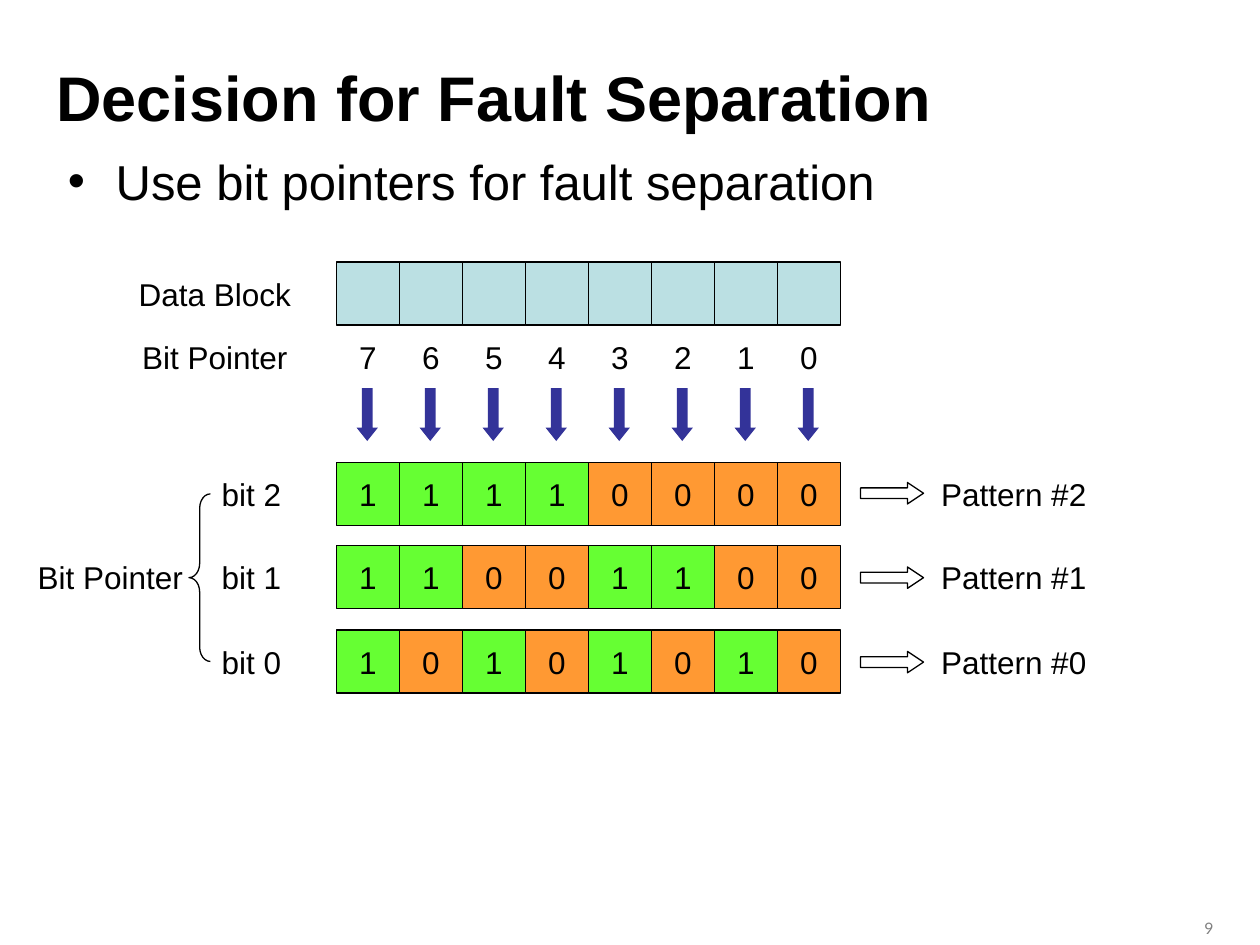
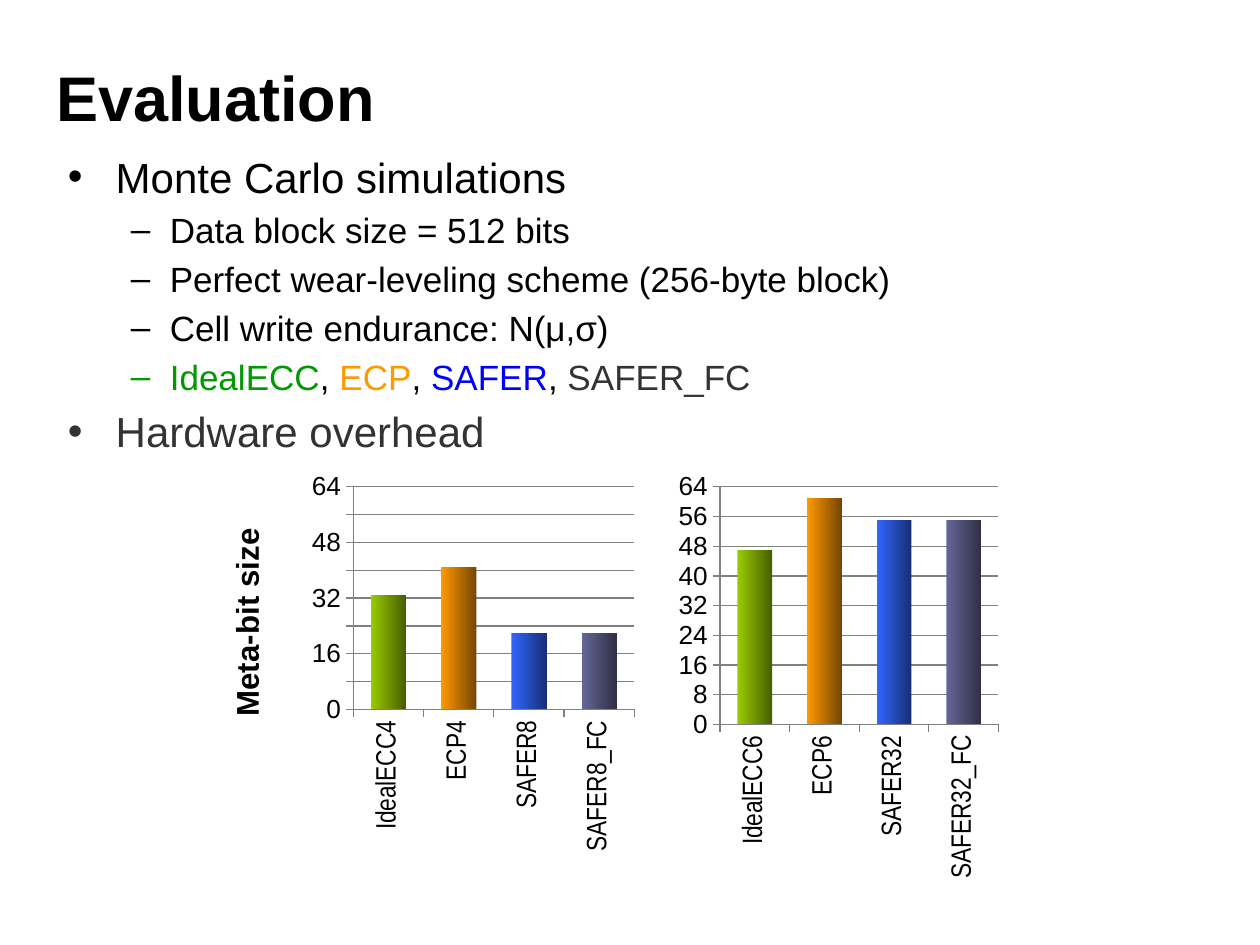
"""Builds two slides: bit-pointer fault separation and its evaluation."""
import pptx
import pptx.chart.data
import pptx.dml.color
import pptx.enum.chart
import pptx.enum.shapes
import pptx.enum.text
import pptx.oxml
import pptx.oxml.ns
import pptx.util
from lxml import etree

RGB = pptx.dml.color.RGBColor
BLACK, GRAY, DARK = RGB(0, 0, 0), RGB(0x80, 0x80, 0x80), RGB(0x33, 0x33, 0x33)
PALE, INDIGO = RGB(0xBB, 0xE0, 0xE3), RGB(0x33, 0x33, 0x99)
BIT_FILL = {"1": RGB(0x66, 0xFF, 0x33), "0": RGB(0xFF, 0x99, 0x33)}
GREEN, ORANGE, BLUE = RGB(0, 0x99, 0), RGB(0xFF, 0x99, 0), RGB(0, 0, 0xFF)
BAR_FILLS = [RGB(0x99, 0xCC, 0), ORANGE, RGB(0x33, 0x66, 0xFF), RGB(0x66, 0x66, 0x99)]

SHAPE = pptx.enum.shapes.MSO_SHAPE
ALIGN = pptx.enum.text.PP_ALIGN
MIDDLE = pptx.enum.text.MSO_ANCHOR.MIDDLE
Pt, Inches, qn = pptx.util.Pt, pptx.util.Inches, pptx.oxml.ns.qn

POINTERS = "76543210"
PATTERNS = [("bit 2", "11110000", "Pattern #2"),
            ("bit 1", "11001100", "Pattern #1"),
            ("bit 0", "10101010", "Pattern #0")]
SEPARATION = [(0, 28, [("Use bit pointers for fault separation", BLACK)])]
EVALUATION = [
    (0, 24, [("Monte Carlo simulations", BLACK)]),
    (1, 20, [("Data block size = 512 bits", BLACK)]),
    (1, 20, [("Perfect wear-leveling scheme (256-byte block)", BLACK)]),
    (1, 20, [("Cell write endurance: Ν(μ,σ)", BLACK)]),
    (1, 20, [("IdealECC", GREEN), (", ", BLACK), ("ECP", ORANGE), (", ", BLACK),
             ("SAFER", BLUE), (", ", BLACK), ("SAFER_FC", DARK)]),
    (0, 24, [("Hardware overhead", DARK)]),
]
BULLETS = [("•", 0.38, -0.38), ("–", 0.81, -0.31)]
CHARTS = [
    dict(box=(4.67, 3.75, 3.26, 3.42), plot_height=0.557, title=None,
         values={"IdealECC6": 47, "ECP6": 61, "SAFER32": 55, "SAFER32_FC": 55}),
    dict(box=(1.75, 3.75, 3.29, 3.45), plot_height=0.517, title="Meta-bit size",
         values={"IdealECC4": 33, "ECP4": 41, "SAFER8": 22, "SAFER8_FC": 22}),
]

UNIT = 1 / 6
CELL = 3
GRID_X, BLOCK_Y, POINTER_Y, ARROW_Y, BITS_Y = 16, 12.5, 16, 18.5, 22
ROW_STEP = 4
LABEL_X, LABEL_W = 6.5, 7.5


def write(p, text, size=18, color=BLACK, font="Arial", bold=False, align=None):
    r = p.add_run()
    r.text = text
    r.font.size, r.font.name, r.font.bold = Pt(size), font, bold
    r.font.color.rgb = color
    if align is not None:
        p.alignment = align


def textbox(slide, box, wrap=True, anchor=None):
    tf = slide.shapes.add_textbox(*map(Inches, box)).text_frame
    tf.word_wrap = wrap
    if anchor is not None:
        tf.vertical_anchor = anchor
    return tf


def grid(*units):
    return [round(u * UNIT, 2) for u in units]


def label(slide, text, x, y, w=LABEL_W, h=CELL, align=ALIGN.CENTER):
    tf = textbox(slide, grid(x, y, w, h), wrap=False, anchor=MIDDLE)
    if align == ALIGN.CENTER:
        tf.margin_left = tf.margin_right = 0
    write(tf.paragraphs[0], text, align=align)


def shape(slide, kind, x, y, w, h, fill=None, outline=True, adjust=(), text=""):
    sp = slide.shapes.add_shape(kind, *map(Inches, grid(x, y, w, h)))
    sp.shadow.inherit = False
    for i, value in enumerate(adjust):
        sp.adjustments[i] = value
    if fill is None:
        sp.fill.background()
    else:
        sp.fill.solid()
        sp.fill.fore_color.rgb = fill
    if outline:
        sp.line.color.rgb, sp.line.width = BLACK, Pt(0.75)
    else:
        sp.line.fill.background()
    if text:
        sp.text_frame.word_wrap = False
        sp.text_frame.vertical_anchor = MIDDLE
        write(sp.text_frame.paragraphs[0], text, align=ALIGN.CENTER)


def new_slide(prs, title, lines, body_height):
    slide = prs.slides.add_slide(prs.slide_layouts[6])
    tf = textbox(slide, (0.35, 0.35, 9, 0.83), anchor=MIDDLE)
    write(tf.paragraphs[0], title, size=36, bold=True)
    tf = textbox(slide, (0.44, 1.15, 9.13, body_height))
    for i, (level, size, runs) in enumerate(lines):
        p = tf.add_paragraph() if i else tf.paragraphs[0]
        mark, margin, indent = BULLETS[level]
        p.level = level
        pPr = p._p.get_or_add_pPr()
        pPr.set("marL", str(Inches(margin)))
        pPr.set("indent", str(Inches(indent)))
        before = etree.SubElement(pPr, qn("a:spcBef"))
        etree.SubElement(before, qn("a:spcPct"), val="20000")
        etree.SubElement(pPr, qn("a:buFont"), typeface="Arial")
        etree.SubElement(pPr, qn("a:buChar"), char=mark)
        for text, color in runs:
            write(p, text, size=size, color=color)
    return slide


def draw_bits(slide):
    label(slide, "Data Block", LABEL_X, BLOCK_Y)
    label(slide, "Bit Pointer", LABEL_X, BLOCK_Y + CELL)
    for col, pointer in enumerate(POINTERS):
        x = GRID_X + col * CELL
        shape(slide, SHAPE.RECTANGLE, x, BLOCK_Y, CELL, CELL, fill=PALE)
        label(slide, pointer, x, POINTER_Y, w=CELL, h=2)
        shape(slide, SHAPE.DOWN_ARROW, x + 1, ARROW_Y, 1, 2.5, fill=INDIGO,
              outline=False, adjust=(0.5, 0.625))
    for row, (name, bits, pattern) in enumerate(PATTERNS):
        y = BITS_Y + row * ROW_STEP
        label(slide, name, LABEL_X, y, align=ALIGN.RIGHT)
        for col, bit in enumerate(bits):
            shape(slide, SHAPE.RECTANGLE, GRID_X + col * CELL, y, CELL, CELL,
                  fill=BIT_FILL[bit], text=bit)
        shape(slide, SHAPE.RIGHT_ARROW, 41, y + 1, 3, 1, adjust=(0.5, 0.75))
        label(slide, pattern, 44.5, y)
    label(slide, "Bit Pointer", 1.5, BITS_Y + ROW_STEP)
    shape(slide, SHAPE.LEFT_BRACE, 9, BITS_Y + CELL / 2, 1, 2 * ROW_STEP, adjust=(0.667, 0.5))


def manual_layout(parent, index, inner=False, **places):
    for old in parent.findall(qn("c:layout")):
        parent.remove(old)
    layout = etree.Element(qn("c:layout"))
    manual = etree.SubElement(layout, qn("c:manualLayout"))
    if inner:
        etree.SubElement(manual, qn("c:layoutTarget"), val="inner")
    for mode in ("xMode", "yMode"):
        etree.SubElement(manual, qn("c:" + mode), val="edge")
    for key, value in places.items():
        etree.SubElement(manual, qn("c:" + key), val=str(value))
    parent.insert(index, layout)


def style_axis(axis, size, font):
    axis.tick_labels.font.size, axis.tick_labels.font.name = Pt(size), font
    axis.tick_labels.font.color.rgb = BLACK
    axis.major_tick_mark = pptx.enum.chart.XL_TICK_MARK.OUTSIDE
    axis.format.line.color.rgb = GRAY


def draw_chart(slide, box, plot_height, title, values):
    data = pptx.chart.data.CategoryChartData()
    data.categories = list(values)
    data.add_series("Series 1", list(values.values()))
    chart = slide.shapes.add_chart(pptx.enum.chart.XL_CHART_TYPE.COLUMN_CLUSTERED,
                                   *map(Inches, box), data).chart
    chart.has_title = chart.has_legend = False
    chart.font.size, chart.font.name = Pt(10), "Arial"
    chart.font.color.rgb = BLACK
    plot = chart.plots[0]
    plot.gap_width, plot.vary_by_categories = 100, False
    for i, color in enumerate(BAR_FILLS):
        fill = plot.series[0].points[i].format.fill
        fill.gradient()
        fill.gradient_angle = 0
        for stop in fill.gradient_stops:
            stop.color.rgb = color
    for stops in chart.element.iter(qn("a:gsLst")):
        end_color = stops[-1][0]
        etree.SubElement(end_color, qn("a:gamma"))
        etree.SubElement(end_color, qn("a:shade"), val="46275")
        etree.SubElement(end_color, qn("a:invGamma"))

    cat, val = chart.category_axis, chart.value_axis
    style_axis(cat, 16, "Arial Narrow")
    cat._element.find(qn("c:txPr")).find(qn("a:bodyPr")).set("rot", "-5400000")
    style_axis(val, 15, "Arial")
    val.minimum_scale, val.maximum_scale, val.major_unit = 0, 64, 8
    val.tick_labels.number_format = "0"
    val.tick_labels.number_format_is_linked = False
    val.has_major_gridlines = True
    val.major_gridlines.format.line.color.rgb = GRAY
    if title:
        tf = val.axis_title.text_frame
        write(tf.paragraphs[0], title, bold=True)
        tf._txBody.find(qn("a:bodyPr")).set("rot", "-5400000")
        manual_layout(val.axis_title._element, 1, x=0, y=0.11)
    manual_layout(chart.element.find(qn("c:chart")).find(qn("c:plotArea")), 0, inner=True,
                  x=0.321, y=0.024, w=0.679, h=plot_height)


def main():
    prs = pptx.Presentation()
    prs.slide_width, prs.slide_height = Inches(10), Inches(7.5)
    slide = new_slide(prs, "Decision for Fault Separation", SEPARATION, 0.85)
    draw_bits(slide)
    tf = textbox(slide, (9.07, 7.24, 0.66, 0.17))
    write(tf.paragraphs[0], "9", size=9, color=GRAY, font="Lato", align=ALIGN.RIGHT)
    slide = new_slide(prs, "Evaluation", EVALUATION, 5.98)
    for chart in CHARTS:
        draw_chart(slide, **chart)
    prs.save("out.pptx")


if __name__ == "__main__":
    main()
